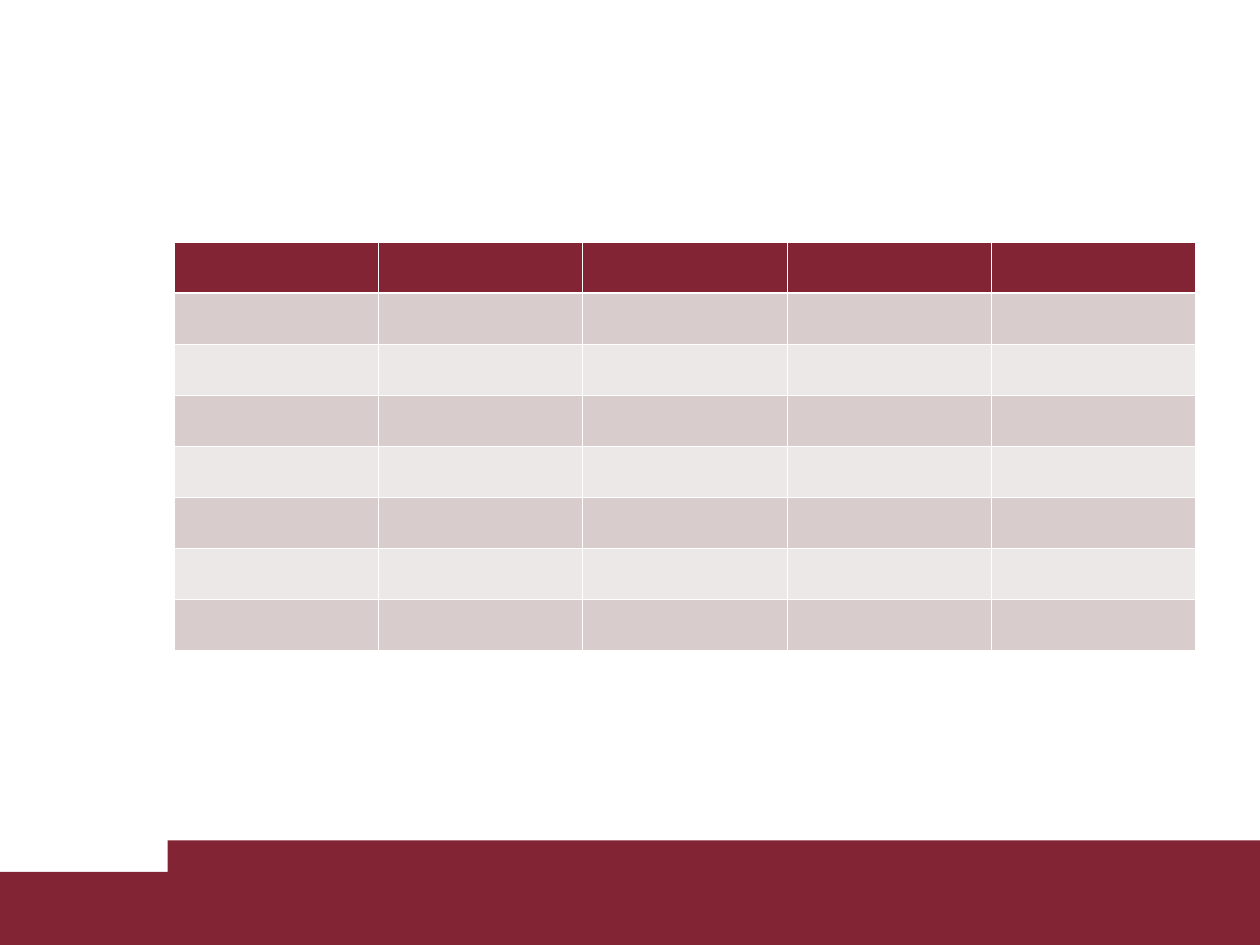
"""Build a slide with an empty banded table above a stepped footer band."""
from typing import NamedTuple

import pptx
import pptx.dml.color
import pptx.enum.shapes
import pptx.oxml.ns
import pptx.util
from lxml import etree
from pptx.dml.color import RGBColor
from pptx.util import Inches, Pt

BURGUNDY = RGBColor(0x82, 0x24, 0x33)
ROSE = RGBColor(0xD8, 0xCC, 0xCD)
PALE = RGBColor(0xED, 0xE8, 0xE8)
WHITE = RGBColor(0xFF, 0xFF, 0xFF)

ROWS, COLS = 8, 5
THIN, THICK = 0.45, 1.47


class Band(NamedTuple):
    left: float
    top: float
    width: float
    height: float


FOOTER = (Band(0, 6.92, 10, 0.58), Band(1.33, 6.67, 8.67, 0.83))
TABLE = Band(1.38, 1.92, 8.11, 3.24)


def add_band(s: pptx.slide.Slide, band: Band) -> None:
    sp = s.shapes.add_shape(
        pptx.enum.shapes.MSO_SHAPE.RECTANGLE, *map(Inches, band)
    )
    sp.shadow.inherit = False
    sp.fill.solid()
    sp.fill.fore_color.rgb = BURGUNDY
    sp.line.fill.background()


def add_border(cell: pptx.table._Cell, side: str, width: float) -> None:
    qn = pptx.oxml.ns.qn
    tcPr = cell._tc.get_or_add_tcPr()
    ln = etree.SubElement(tcPr, qn(f"a:ln{side}"), w=str(int(Pt(width))))
    fill = etree.SubElement(ln, qn("a:solidFill"))
    etree.SubElement(fill, qn("a:srgbClr"), val=str(WHITE))


def style_cell(cell: pptx.table._Cell, row: int) -> None:
    widths = {
        "L": THIN,
        "R": THIN,
        "T": THICK if row == 1 else THIN,
        "B": THICK if row == 0 else THIN,
    }
    for side, width in widths.items():
        add_border(cell, side, width)
    cell.fill.solid()
    cell.fill.fore_color.rgb = BURGUNDY if row == 0 else ROSE if row % 2 else PALE
    cell.margin_top = cell.margin_bottom = Inches(0.03)
    cell.text_frame.paragraphs[0].font.name = "Calibri"


def add_grid(s: pptx.slide.Slide) -> None:
    table = s.shapes.add_table(ROWS, COLS, *map(Inches, TABLE)).table
    for i, row in enumerate(table.rows):
        for cell in row.cells:
            style_cell(cell, i)


def main() -> None:
    prs = pptx.Presentation()
    prs.slide_width, prs.slide_height = Inches(10), Inches(7.5)
    s = prs.slides.add_slide(prs.slide_layouts[6])
    s.background.fill.solid()
    s.background.fill.fore_color.rgb = WHITE
    for band in FOOTER:
        add_band(s, band)
    add_grid(s)
    prs.save("out.pptx")


if __name__ == "__main__":
    main()
